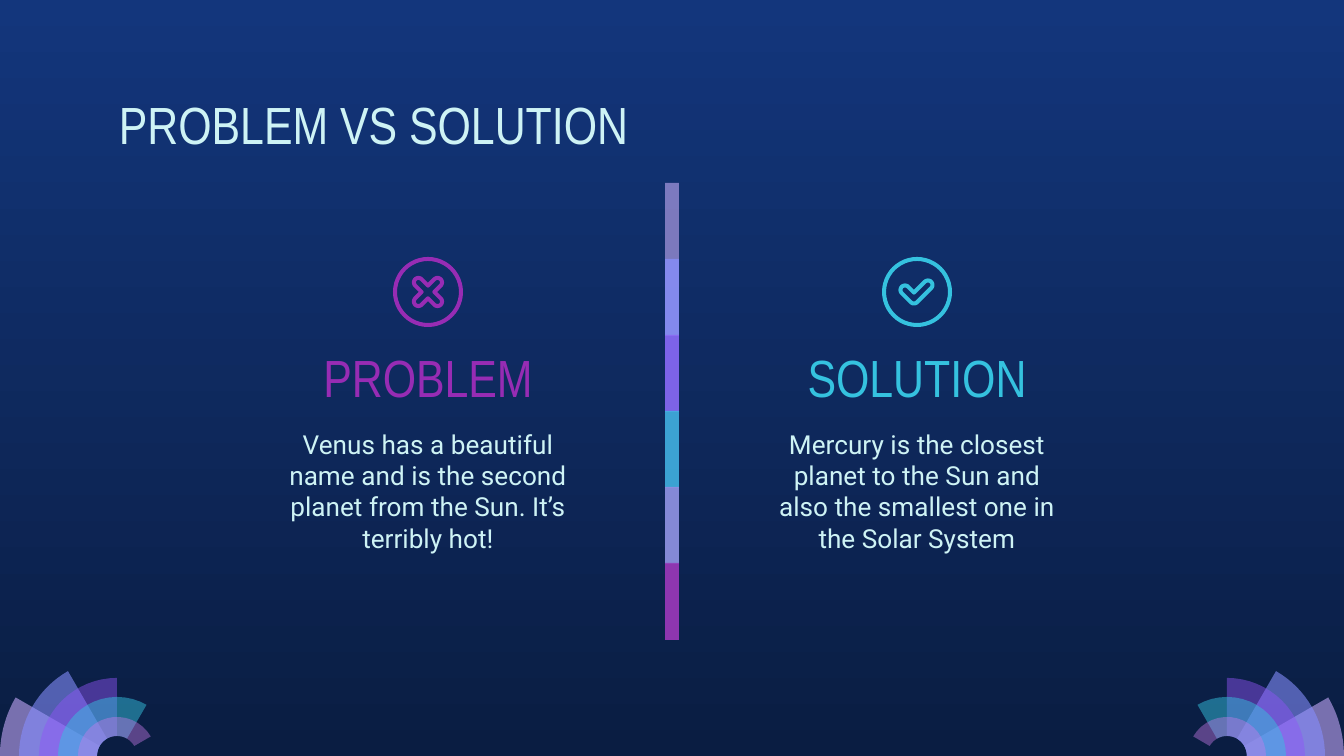
from math import cos, radians, sin, sqrt

from lxml.etree import SubElement
from pptx import Presentation
from pptx.dml.color import RGBColor
from pptx.enum.shapes import MSO_SHAPE
from pptx.enum.text import MSO_ANCHOR, PP_ALIGN
from pptx.oxml.ns import qn
from pptx.util import Pt

PX = 914400 / 134.4
WIDE, HIGH = 1344, 756
PALE, CYAN, PLUM = "CEF3F5", "35C2DF", "972CB4"
HEAD, BODY = "Arial Narrow", "Roboto"
PETALS = [
    ("C8ACFD", 58, 117),
    ("878FFF", 58, 98),
    ("9154F8", 46, 78),
    (CYAN, 49, 59),
    ("CA7BEB", 42, 39),
]
BARS = [
    ("C8AEF8", 59),
    ("878FFF", 74),
    ("9154F8", 53),
    (CYAN, 76),
    ("CA7BEB", 56),
    (PLUM, 74),
]


def emu(px):
    """Turn pixels into EMU."""
    return round(px * PX)


def color(code):
    """Turn a hex string into a colour."""
    return RGBColor.from_string(code)


def paint(shape, code, alpha):
    """Fill a shape with a see-through colour and no line."""
    shape.shadow.inherit = False
    shape.line.fill.background()
    shape.fill.solid()
    shape.fill.fore_color.rgb = color(code)
    tint = shape.fill._xPr.find(qn("a:solidFill"))[0]
    SubElement(tint, qn("a:alpha")).set("val", str(alpha * 1000))


def stroke(shape, code):
    """Give a shape an outline only."""
    shape.shadow.inherit = False
    shape.fill.background()
    shape.line.color.rgb = color(code)
    shape.line.width = emu(4)


def arc(x, y, radius, start, end):
    """List points along an arc, with angles in degrees."""
    steps = 16
    turns = [radians(start + (end - start) * i / steps) for i in range(steps + 1)]
    return [(x + radius * cos(t), y + radius * sin(t)) for t in turns]


def outline(slide, points):
    """Draw a closed outline through pixel points."""
    spots = [(emu(x), emu(y)) for x, y in points]
    form = slide.shapes.build_freeform(*spots[0], scale=1.0)
    form.add_line_segments(spots[1:], close=True)
    return form.convert_to_shape()


def fan(slide, x, side):
    """Draw a corner fan of petals opening from one side."""
    for i, (code, alpha, radius) in enumerate(PETALS, 1):
        end = 180 + 30 * i
        ring = arc(0, HIGH, radius, 180, end) + arc(0, HIGH, 20, end, 180)
        paint(outline(slide, [(x + side * dx, y) for dx, y in ring]), code, alpha)


def ring(slide, x, y, code):
    """Draw the circle around an icon."""
    box = [emu(n) for n in (x - 33, y - 33, 66, 66)]
    stroke(slide.shapes.add_shape(MSO_SHAPE.OVAL, *box), code)


def cross(slide, x, y, code):
    """Draw a rounded cross in a circle."""
    ring(slide, x, y, code)
    size = 4.5
    points = []
    for turn in (45, 135, 225, 315):
        tip = radians(turn)
        notch = radians(turn + 45)
        points += arc(x + 13.5 * cos(tip), y + 13.5 * sin(tip), size, turn - 90, turn + 90)
        points.append((x + size * sqrt(2) * cos(notch), y + size * sqrt(2) * sin(notch)))
    stroke(outline(slide, points), code)


def check(slide, x, y, code):
    """Draw a rounded tick in a circle."""
    ring(slide, x, y, code)
    size = 4.5
    points = arc(x - 12, y - 2, size, 135, 315)
    points.append((x - 3, y + 7 - size * sqrt(2)))
    points += arc(x + 11, y - 7, size, 225, 405)
    points += arc(x - 3, y + 7, size, 45, 135)
    stroke(outline(slide, points), code)


def label(slide, box, text, font, size, code, align=PP_ALIGN.CENTER, anchor=MSO_ANCHOR.TOP):
    """Add a wrapped text box with one run."""
    frame = slide.shapes.add_textbox(*[emu(n) for n in box]).text_frame
    frame.word_wrap = True
    frame.vertical_anchor = anchor
    frame.margin_left = frame.margin_right = emu(13)
    frame.margin_top = frame.margin_bottom = emu(13)
    para = frame.paragraphs[0]
    para.alignment = align
    run = para.add_run()
    run.text = text
    run.font.name = font
    run.font.size = Pt(size)
    run.font.color.rgb = color(code)


def column(slide, x, title, text, code, icon):
    """Add an icon with its heading and text, centred on x."""
    left = x - 158
    label(slide, (left, 336, 316, 85), title, HEAD, 28, code, anchor=MSO_ANCHOR.BOTTOM)
    label(slide, (left, 415, 316, 151), text, BODY, 14, PALE)
    icon(slide, x, 292, code)


def divide(slide):
    """Stack the overlapping bars of the divider."""
    step = 76
    for i, (code, alpha) in enumerate(BARS):
        high = step if i == len(BARS) - 1 else 2 * step
        box = [emu(n) for n in (665, 183 + step * i, 14, high + 1)]
        paint(slide.shapes.add_shape(MSO_SHAPE.RECTANGLE, *box), code, alpha)


def shade(slide):
    """Fill the background from top to bottom."""
    fill = slide.background.fill
    fill.gradient()
    fill.gradient_angle = 270
    for stop, code, place in zip(fill.gradient_stops, ("13367C", "0A1D42"), (0, 1)):
        stop.color.rgb = color(code)
        stop.position = place


def main():
    """Build and save the slide."""
    deck = Presentation()
    deck.slide_width, deck.slide_height = emu(WIDE), emu(HIGH)
    slide = deck.slides.add_slide(deck.slide_layouts[6])
    shade(slide)
    fan(slide, 117, 1)
    fan(slide, WIDE - 117, -1)
    label(slide, (106, 79, 1133, 85), "PROBLEM VS SOLUTION", HEAD, 28, PALE, PP_ALIGN.LEFT)
    column(slide, 428, "PROBLEM",
           "Venus has a beautiful name and is the second planet from the Sun. It’s terribly hot!",
           PLUM, cross)
    column(slide, 917, "SOLUTION",
           "Mercury is the closest planet to the Sun and also the smallest one in the Solar System",
           CYAN, check)
    divide(slide)
    deck.save("out.pptx")


if __name__ == "__main__":
    main()
